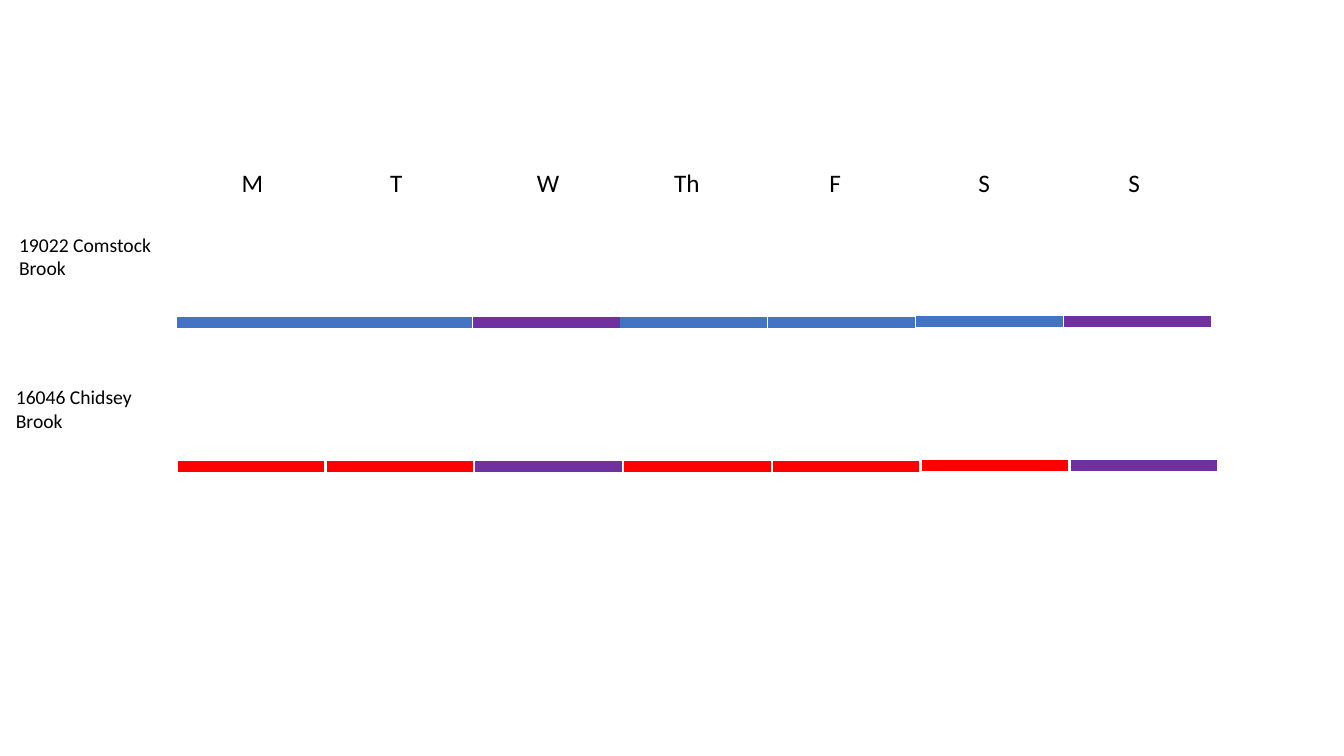
"""Build a weekly schedule slide with one coloured day bar per brook."""
import pptx
import pptx.util
import pptx.dml.color
import pptx.enum.shapes
import pptx.enum.text
import lxml.etree

Cm = pptx.util.Cm


def paint(fill, code):
    fill.solid()
    fill.fore_color.rgb = pptx.dml.color.RGBColor.from_string(code)


def write(text, left, top, width, height, size=18, color="000000"):
    box = slide.shapes.add_textbox(Cm(left), Cm(top), Cm(width), Cm(height))
    frame = box.text_frame
    frame.word_wrap = True
    frame.auto_size = pptx.enum.text.MSO_AUTO_SIZE.SHAPE_TO_FIT_TEXT
    run = frame.paragraphs[0].add_run()
    run.text = text
    run.font.name = "Calibri"
    run.font.size = pptx.util.Pt(size)
    paint(run.font.fill, color)


deck = pptx.Presentation()
deck.slide_width = Cm(33.87)
deck.slide_height = Cm(19.05)
slide = deck.slides.add_slide(deck.slide_layouts[6])

days = [("M", 5.84, 0.97), ("T", 9.58, 0.97), ("W", 13.28, 0.97),
        ("Th", 16.74, 1.19), ("F", 20.65, 0.97), ("S", 24.41, 0.97),
        ("S", 28.19, 0.97)]
for day, left, width in days:
    write(day, left, 4.09, width, 1.02)

PURPLE = "7030A0"
SHARED = (2, 6)
brooks = [
    ("19022 Comstock Brook", 0.23, 5.74, "4472C4", 8.13, 3.71,
     [4.47, 8.18, 11.91, 15.62, 19.35, 23.09, 26.82]),
    ("16046 Chidsey Brook", 0.15, 9.58, "FF0000", 11.76, 3.69,
     [4.48 + 3.75 * day for day in range(7)]),
]
for name, left, top, color, level, length, starts in brooks:
    write(name, left, top, 3.99, 1.45, size=14)
    for day, start in enumerate(starts):
        y = Cm(level - 0.03 if day >= 5 else level)
        bar = slide.shapes.add_connector(
            pptx.enum.shapes.MSO_CONNECTOR.STRAIGHT,
            Cm(start), y, Cm(start + length), y)
        bar.line.width = pptx.util.Pt(8)
        paint(bar.line.fill, PURPLE if day in SHARED else color)
        lxml.etree.SubElement(bar.element.spPr, pptx.oxml.ns.qn("a:effectLst"))

deck.save("out.pptx")
